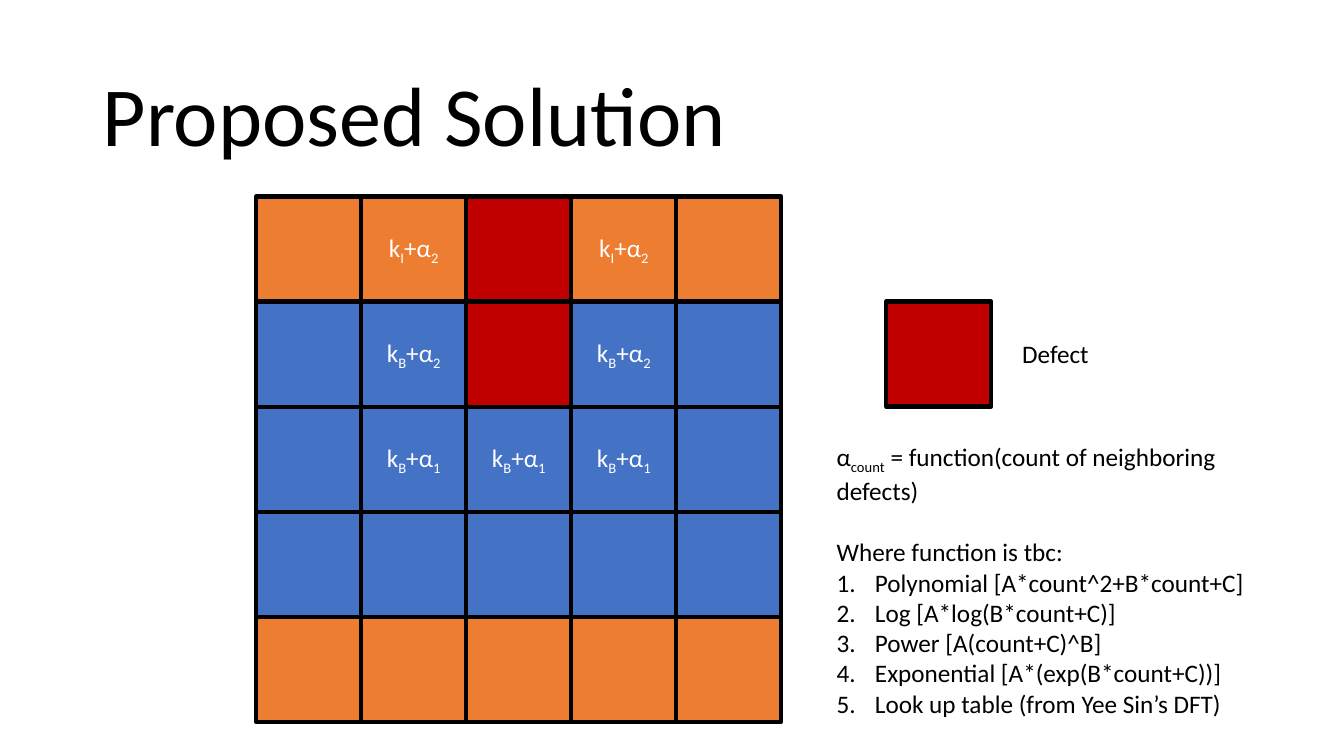
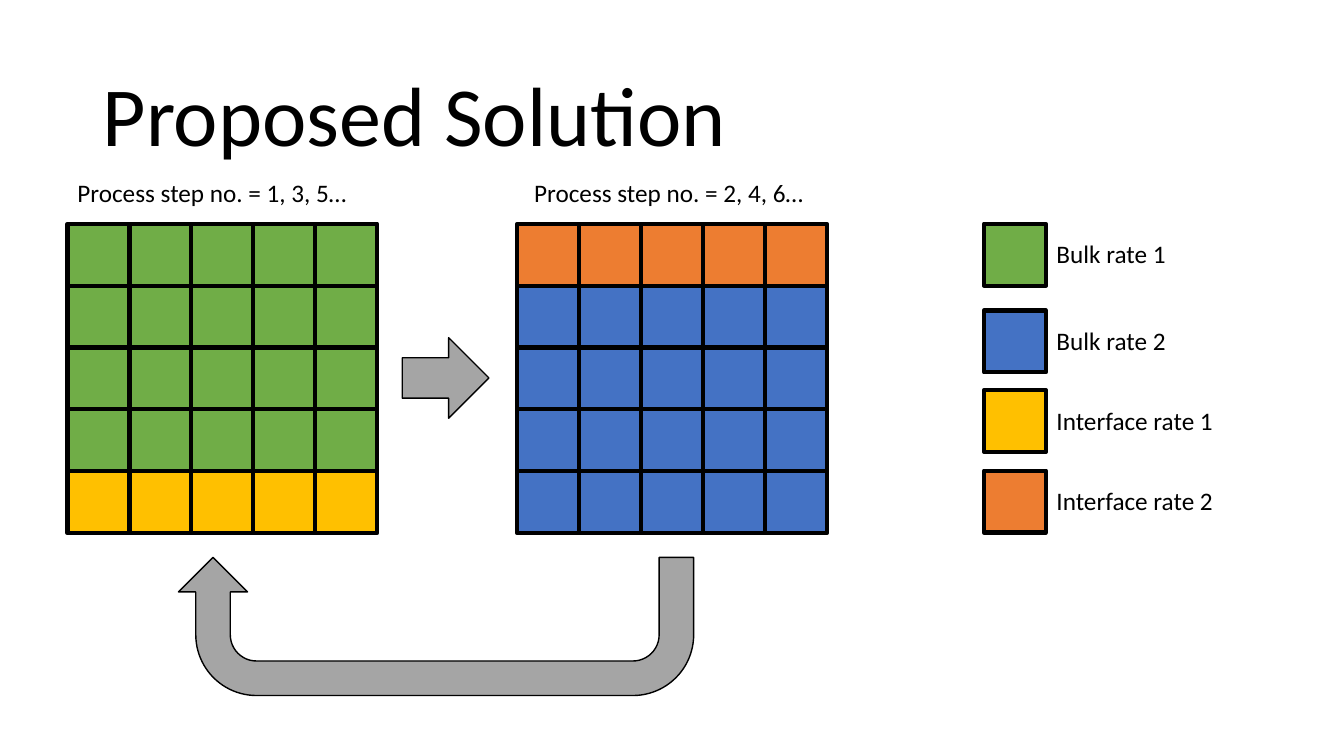
from pptx import Presentation
from pptx.dml.color import RGBColor
from pptx.enum.shapes import MSO_SHAPE
from pptx.enum.text import MSO_ANCHOR, PP_ALIGN
from pptx.oxml.ns import qn
from pptx.util import Inches, Pt
from lxml.etree import SubElement

FONT = "Calibri"
BLACK, WHITE, GREY = "000000", "FFFFFF", "A5A5A5"
COLORS = {"O": "ED7D31", "B": "4472C4", "R": "C00000", "G": "70AD47", "Y": "FFC000"}
TITLE = "Proposed Solution"

DEFECT_ROWS = ["OOROO", "BBRBB", "BBBBB", "BBBBB", "OOOOO"]
RATES = {
    (0, 1): "k|I|+α|2", (0, 3): "k|I|+α|2",
    (1, 1): "k|B|+α|2", (1, 3): "k|B|+α|2",
    (2, 1): "k|B|+α|1", (2, 2): "k|B|+α|1", (2, 3): "k|B|+α|1",
}
DEFINITION = "α|count| = function(count of neighboring defects)"
FUNCTIONS_INTRO = "Where function is tbc:"
FUNCTIONS = [
    "Polynomial [A*count^2+B*count+C]",
    "Log [A*log(B*count+C)]",
    "Power [A(count+C)^B]",
    "Exponential [A*(exp(B*count+C))]",
    "Look up table (from Yee Sin’s DFT)",
]

STEPS = [
    (0.67, 0.67, "Process step no. = 1, 3, 5…", ["GGGGG"] * 4 + ["YYYYY"]),
    (5.13, 5.2, "Process step no. = 2, 4, 6…", ["OOOOO"] + ["BBBBB"] * 4),
]
LEGEND = [
    (2.22, "G", "Bulk rate 1"),
    (3.08, "B", "Bulk rate 2"),
    (3.87, "Y", "Interface rate 1"),
    (4.67, "O", "Interface rate 2"),
]
DEFECT_GRID, STEP_GRID = 5.21, 3.07


def rgb(value):
    return RGBColor.from_string(value)


def write(p, text, color=BLACK, size=18, **formats):
    for name, value in formats.items():
        setattr(p, name, value)
    for i, part in enumerate(text.split("|")):
        r = p.add_run()
        r.text = part
        for name, value in {"name": FONT, "size": Pt(size)}.items():
            setattr(r.font, name, value)
        r.font.color.rgb = rgb(color)
        if i % 2:
            r.font._element.set("baseline", "-25000")


def add_text(s, box, text, wrap=True, anchor=MSO_ANCHOR.TOP, **formats):
    tf = s.shapes.add_textbox(*map(Inches, box)).text_frame
    tf.word_wrap = wrap
    tf.vertical_anchor = anchor
    write(tf.paragraphs[0], text, **formats)
    return tf


def add_block(s, kind, box, fill, weight):
    sp = s.shapes.add_shape(kind, *map(Inches, box))
    sp.shadow.inherit = False
    sp.fill.solid()
    sp.fill.fore_color.rgb = rgb(fill)
    sp.line.color.rgb = rgb(BLACK)
    sp.line.width = Pt(weight)
    return sp


def add_cell(s, left, top, side, code, text=None):
    sp = add_block(s, MSO_SHAPE.RECTANGLE, (left, top, side, side), COLORS[code], 3)
    if text:
        tf = sp.text_frame
        tf.vertical_anchor = MSO_ANCHOR.MIDDLE
        write(tf.paragraphs[0], text, WHITE, alignment=PP_ALIGN.CENTER)


def add_grid(s, left, top, size, rows, labels={}):
    side = size / len(rows)
    for i, row in enumerate(rows):
        for j, code in enumerate(row):
            add_cell(s, left + j * side, top + i * side, side, code, labels.get((i, j)))


def number(p):
    pPr = p._p.get_or_add_pPr()
    pPr.set("marL", str(Inches(0.38)))
    pPr.set("indent", str(-Inches(0.38)))
    SubElement(pPr, qn("a:buFont"), typeface="+mj-lt")
    SubElement(pPr, qn("a:buAutoNum"), type="arabicPeriod")


def add_slide(prs):
    s = prs.slides.add_slide(prs.slide_layouts[6])
    add_text(s, (0.92, 0.23, 11.5, 1.45), TITLE, size=60,
             anchor=MSO_ANCHOR.BOTTOM, line_spacing=0.9)
    return s


def build_defects(prs):
    s = add_slide(prs)
    add_grid(s, 2.54, 1.95, DEFECT_GRID, DEFECT_ROWS, RATES)
    add_cell(s, 8.79, 2.99, DEFECT_GRID / len(DEFECT_ROWS), "R")
    add_text(s, (10.04, 3.31, 0.87, 0.4), "Defect", wrap=False)
    tf = add_text(s, (8.2, 4.33, 4.54, 2.83), DEFINITION)
    write(tf.add_paragraph(), FUNCTIONS_INTRO, space_before=Pt(22))
    for function in FUNCTIONS:
        p = tf.add_paragraph()
        write(p, function)
        number(p)


def build_steps(prs):
    s = add_slide(prs)
    for left, label_left, label, rows in STEPS:
        add_grid(s, left, 2.22, STEP_GRID, rows)
        add_text(s, (label_left, 1.71, 2.94, 0.4), label)
    for top, code, label in LEGEND:
        add_cell(s, 9.76, top, STEP_GRID / 5, code)
        add_text(s, (10.38, top + 0.1, 2.41, 0.4), label)
    add_block(s, MSO_SHAPE.RIGHT_ARROW, (3.99, 3.35, 0.86, 0.8), GREY, 1)
    loop = add_block(s, MSO_SHAPE.U_TURN_ARROW, (1.77, 5.53, 5.11, 1.37), GREY, 1)
    loop.rotation = 180
    for i, value in enumerate((0.25, 0.25, 0.25, 0.44, 1)):
        loop.adjustments[i] = value


prs = Presentation()
prs.slide_width, prs.slide_height = Inches(13.33), Inches(7.5)
build_defects(prs)
build_steps(prs)
prs.save("out.pptx")
